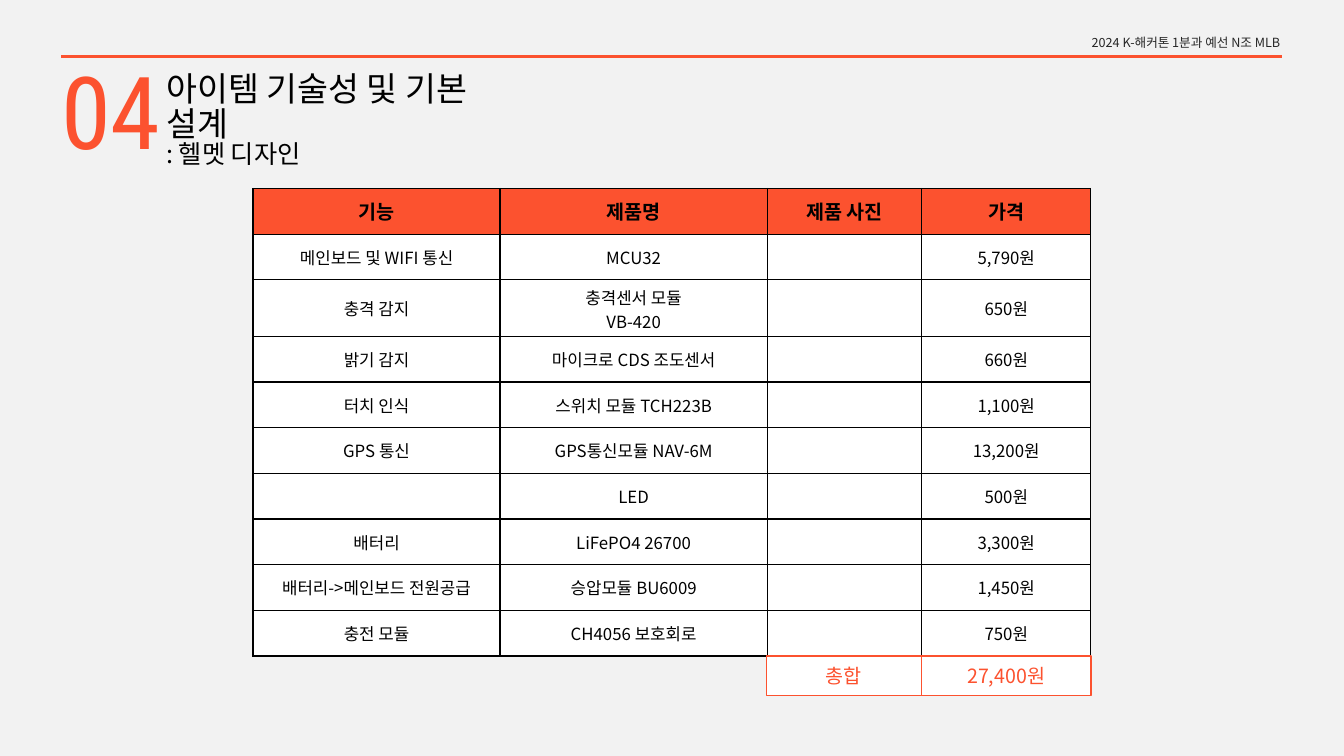
from lxml import etree
from pptx import Presentation
from pptx.dml.color import RGBColor
from pptx.enum import shapes, text
from pptx.oxml import ns
from pptx.util import Inches, Pt

ORANGE = RGBColor(0xFC, 0x52, 0x2F)
BLACK = RGBColor(0, 0, 0)
DARK_GRAY = RGBColor(0x26, 0x26, 0x26)
WHITE = RGBColor(0xFF, 0xFF, 0xFF)
LIGHT_GRAY = RGBColor(0xF2, 0xF2, 0xF2)
KOREAN_FONT = "Noto Sans CJK KR"
NUMBER_FONT = "Roboto Condensed"

HEADINGS = ["기능", "제품명", "제품 사진", "가격"]
PARTS = [
    ["메인보드 및 WIFI 통신", "MCU32", "", "5,790원"],
    ["충격 감지", "충격센서 모듈\nVB-420", "", "650원"],
    ["밝기 감지", "마이크로 CDS 조도센서", "", "660원"],
    ["터치 인식", "스위치 모듈 TCH223B", "", "1,100원"],
    ["GPS 통신", "GPS통신모듈 NAV-6M", "", "13,200원"],
    ["", "LED", "", "500원"],
    ["배터리", "LiFePO4 26700", "", "3,300원"],
    ["배터리->메인보드 전원공급", "승압모듈 BU6009", "", "1,450원"],
    ["충전 모듈", "CH4056 보호회로", "", "750원"],
]
TABLE_LEFT, TABLE_TOP, TABLE_HEIGHT = 2.51, 1.87, 4.64
COLUMN_WIDTHS = [2.45, 2.65, 1.53, 1.68]
TALL_ROW, TALL_HEIGHT = 2, 0.56


def add_run(paragraph, words, size, color, font=KOREAN_FONT, bold=False):
    run = paragraph.add_run()
    run.text = words
    run.font.size = Pt(size)
    run.font.bold = bold
    run.font.color.rgb = color
    run.font.name = font
    east_asian = etree.SubElement(run.font._element, ns.qn("a:ea"))
    east_asian.set("typeface", font)


def add_text(slide, box, lines, color, font=KOREAN_FONT, spacing=None):
    """Add a text box; lines holds (words, size) pairs, one per paragraph."""
    frame = slide.shapes.add_textbox(*map(Inches, box)).text_frame
    frame.word_wrap = True
    for index, (words, size) in enumerate(lines):
        paragraph = frame.add_paragraph() if index else frame.paragraphs[0]
        if spacing:
            paragraph.line_spacing = spacing
        add_run(paragraph, words, size, color, font)


def add_rule(slide):
    rule = slide.shapes.add_connector(
        shapes.MSO_CONNECTOR.STRAIGHT,
        Inches(0.61), Inches(0.56), Inches(12.72), Inches(0.56))
    rule.line.color.rgb = ORANGE
    rule.line.width = Pt(2.25)
    etree.SubElement(rule._element.spPr, ns.qn("a:effectLst"))


def add_borders(cell):
    properties = cell._tc.get_or_add_tcPr()
    for position, side in enumerate(("lnL", "lnR", "lnT", "lnB")):
        border = etree.Element(ns.qn(f"a:{side}"), w=str(Pt(1)))
        fill = etree.SubElement(border, ns.qn("a:solidFill"))
        etree.SubElement(fill, ns.qn("a:srgbClr"), val=str(BLACK))
        properties.insert(position, border)


def fill_cell(cell, words, size, background, bold):
    cell.fill.solid()
    cell.fill.fore_color.rgb = background
    cell.vertical_anchor = text.MSO_ANCHOR.MIDDLE
    add_borders(cell)
    if not words:
        return
    frame = cell.text_frame
    for index, line in enumerate(words.split("\n")):
        paragraph = frame.add_paragraph() if index else frame.paragraphs[0]
        paragraph.alignment = text.PP_ALIGN.CENTER
        add_run(paragraph, line, size, BLACK, bold=bold)


def add_parts_table(slide):
    rows = [HEADINGS] + PARTS
    table = slide.shapes.add_table(
        len(rows), len(HEADINGS), Inches(TABLE_LEFT), Inches(TABLE_TOP),
        Inches(sum(COLUMN_WIDTHS)), Inches(TABLE_HEIGHT)).table
    for column, width in zip(table.columns, COLUMN_WIDTHS):
        column.width = Inches(width)
    row_height = (TABLE_HEIGHT - TALL_HEIGHT) / (len(rows) - 1)
    for r, row in enumerate(rows):
        table.rows[r].height = Inches(TALL_HEIGHT if r == TALL_ROW else row_height)
        header = r == 0
        for c, words in enumerate(row):
            fill_cell(table.cell(r, c), words, 14 if header else 12,
                      ORANGE if header else WHITE, header)


def add_total_box(slide, left, width, words):
    box = slide.shapes.add_shape(
        shapes.MSO_SHAPE.RECTANGLE, Inches(left),
        Inches(TABLE_TOP + TABLE_HEIGHT), Inches(width), Inches(0.39))
    box.shadow.inherit = False
    box.fill.solid()
    box.fill.fore_color.rgb = WHITE
    box.line.color.rgb = ORANGE
    box.line.width = Pt(1)
    box.text_frame.vertical_anchor = text.MSO_ANCHOR.MIDDLE
    paragraph = box.text_frame.paragraphs[0]
    paragraph.alignment = text.PP_ALIGN.CENTER
    add_run(paragraph, words, 14, ORANGE)


def main():
    deck = Presentation()
    deck.slide_width, deck.slide_height = Inches(13.33), Inches(7.5)
    slide = deck.slides.add_slide(deck.slide_layouts[6])
    slide.background.fill.solid()
    slide.background.fill.fore_color.rgb = LIGHT_GRAY

    add_rule(slide)
    add_text(slide, (10.73, 0.3, 4.9, 0.25),
             [("2024 K-해커톤 1분과 예선 N조 MLB", 9)], DARK_GRAY)
    add_text(slide, (0.51, 0.43, 1.77, 2.52), [("04", 72)], ORANGE, NUMBER_FONT)
    add_parts_table(slide)
    add_total_box(slide, 9.14, 1.68, "27,400원")
    add_total_box(slide, 7.6, 1.54, "총합")
    add_text(slide, (1.55, 0.69, 3.82, 0.81),
             [("아이템 기술성 및 기본 설계", 24), (": 헬멧 디자인", 18)],
             BLACK, spacing=0.85)
    deck.save("out.pptx")


if __name__ == "__main__":
    main()
